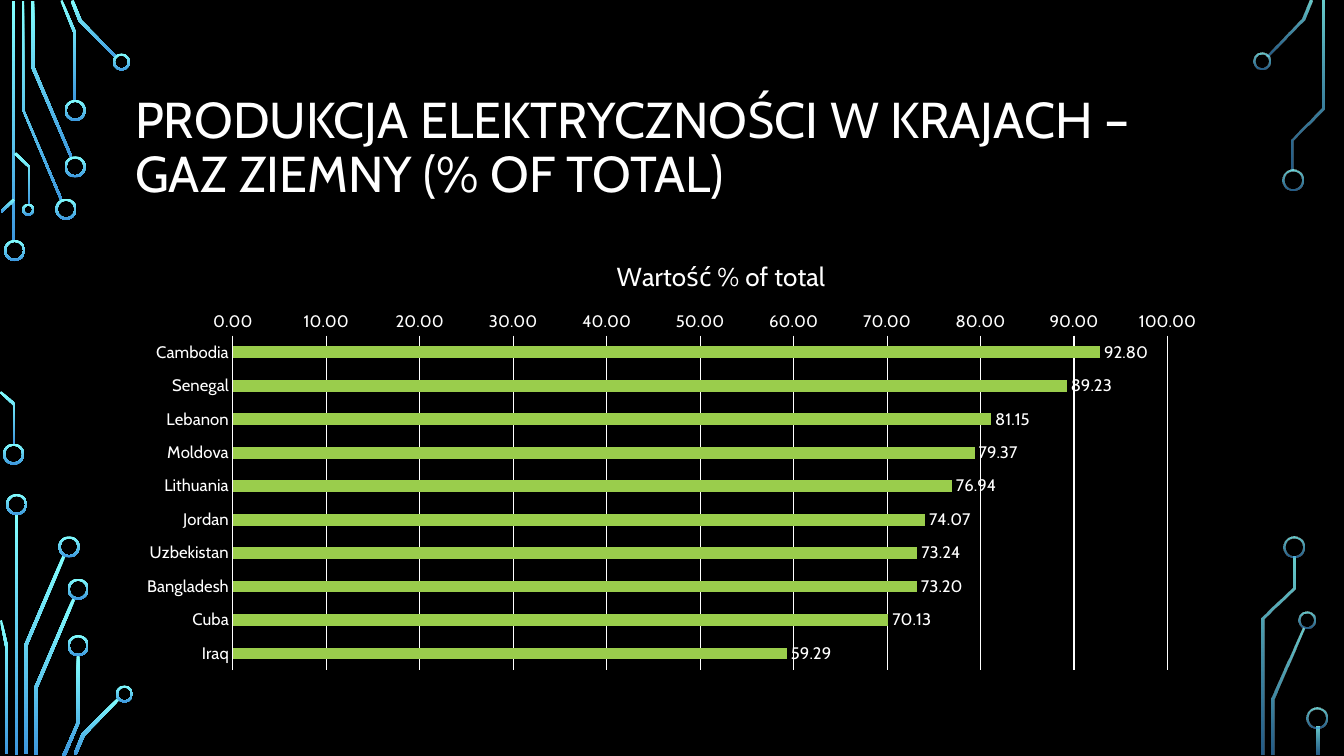
"""Build a slide with a bar chart of electricity made from natural gas, framed by circuit traces."""
from dataclasses import dataclass

from lxml import etree
from pptx import Presentation
from pptx.chart.data import CategoryChartData
from pptx.dml.color import RGBColor
from pptx.enum.chart import XL_CHART_TYPE, XL_LABEL_POSITION, XL_TICK_MARK
from pptx.enum.shapes import MSO_SHAPE
from pptx.enum.text import MSO_ANCHOR, MSO_AUTO_SIZE, PP_ALIGN
from pptx.oxml.ns import qn
from pptx.util import Inches, Pt

BAR_CLUSTERED = XL_CHART_TYPE.BAR_CLUSTERED
OUTSIDE_END = XL_LABEL_POSITION.OUTSIDE_END
NO_TICK = XL_TICK_MARK.NONE
DONUT, RECTANGLE = MSO_SHAPE.DONUT, MSO_SHAPE.RECTANGLE
MIDDLE, LEFT, NO_AUTOFIT = MSO_ANCHOR.MIDDLE, PP_ALIGN.LEFT, MSO_AUTO_SIZE.NONE


@dataclass(frozen=True)
class Theme:
    font: str = "Cabin"
    back: RGBColor = RGBColor(0x00, 0x00, 0x00)
    text: RGBColor = RGBColor(0xFF, 0xFF, 0xFF)
    bar: RGBColor = RGBColor(0x9A, 0xCD, 0x4C)
    trace_top: RGBColor = RGBColor(0x82, 0xFF, 0xFF)
    trace_bottom: RGBColor = RGBColor(0x3D, 0x97, 0xDE)
    title_size: Pt = Pt(36)
    chart_title_size: Pt = Pt(18.6)
    chart_size: Pt = Pt(11.9)
    hairline: Pt = Pt(0.75)


THEME = Theme()
RING_WIDTH = 0.02
LEFT_RINGS = [
    (0.04, 2.38, 0.21), (0.03, 4.4, 0.21), (0.55, 1.97, 0.21), (0.64, 1.55, 0.21),
    (0.64, 0.99, 0.21), (1.12, 0.53, 0.17), (0.22, 2.02, 0.12), (0.06, 4.9, 0.21),
    (0.58, 5.32, 0.21), (0.67, 5.74, 0.21), (0.67, 6.3, 0.21), (1.15, 6.8, 0.17),
]
RIGHT_RINGS = [
    (12.43, 0.52, 0.17), (12.72, 1.68, 0.21), (12.88, 6.07, 0.17),
    (12.73, 5.32, 0.21), (12.96, 7.02, 0.21),
]
LEFT_STRIPS = [(0.12, 0.01, 0.03, 2.39), (0.15, 5.1, 0.03, 2.39)]
RIGHT_STRIPS = [(13.06, 7.21, 0.03, 0.28)]
LEFT_TRACES = [
    [(0.6, 1.99), (0.22, 1.09), (0.22, 0.01), (0.24, 0.01), (0.24, 1.09), (0.62, 1.98)],
    [(0.7, 1.57), (0.31, 0.67), (0.31, 0.01), (0.34, 0.01), (0.34, 0.66), (0.72, 1.56)],
    [(0.76, 1), (0.73, 1), (0.73, 0.33), (0.6, 0.01), (0.62, 0), (0.76, 0.33)],
    [(1.15, 0.58), (0.78, 0.21), (0.7, 0.01), (0.73, 0), (0.81, 0.2), (1.16, 0.56)],
    [(0.02, 2.11), (0.01, 2.09), (0.13, 1.97), (0.15, 1.99)],
    [(0.15, 4.41), (0.13, 4.41), (0.13, 4.02), (0, 3.9), (0.01, 3.88), (0.15, 4)],
    [(0.3, 2.03), (0.28, 2.03), (0.28, 1.66), (0.14, 1.53), (0.16, 1.51), (0.3, 1.65)],
    [(0.27, 7.48), (0.24, 7.48), (0.24, 6.4), (0.62, 5.51), (0.65, 5.52), (0.27, 6.41)],
    [(0.08, 7.48), (0.05, 7.48), (0.05, 6.41), (0, 6.16), (0.02, 6.15), (0.08, 6.41)],
    [(0.37, 7.49), (0.34, 7.49), (0.34, 6.82), (0.72, 5.93), (0.75, 5.94), (0.37, 6.83)],
    [(0.65, 7.5), (0.62, 7.49), (0.76, 7.17), (0.76, 6.5), (0.79, 6.5), (0.79, 7.17)],
    [(0.76, 7.49), (0.73, 7.48), (0.81, 7.28), (1.17, 6.92), (1.19, 6.94), (0.84, 7.3)],
]
RIGHT_TRACES = [
    [(12.58, 0.56), (12.56, 0.55), (12.91, 0.19), (12.99, 0), (13.02, 0.01), (12.94, 0.2)],
    [(12.64, 7.49), (12.61, 7.49), (12.61, 6.93), (12.92, 6.23), (12.94, 6.24), (12.64, 6.94)],
    [(12.83, 1.69), (12.81, 1.69), (12.81, 1.38), (13.11, 1.07),
     (13.11, 0.01), (13.14, 0.01), (13.14, 1.08), (12.83, 1.39)],
    [(12.54, 7.49), (12.51, 7.49), (12.51, 6.13), (12.82, 5.83),
     (12.82, 5.52), (12.85, 5.52), (12.85, 5.84), (12.54, 6.14)],
]
SIDES = [
    (LEFT_STRIPS, LEFT_TRACES, LEFT_RINGS, (100, 100)),
    (RIGHT_STRIPS, RIGHT_TRACES, RIGHT_RINGS, (80, 60)),
]
GAS_SHARE = {
    "Cambodia": 92.8, "Senegal": 89.23, "Lebanon": 81.15, "Moldova": 79.37,
    "Lithuania": 76.94, "Jordan": 74.07, "Uzbekistan": 73.24, "Bangladesh": 73.2,
    "Cuba": 70.13, "Iraq": 59.29,
}
CHART_TITLE = "Wartość % of total"
CHART_WIDTH, CHART_HEIGHT = 10.83, 4.28


def style_font(font, size):
    """Give a font the theme's face and text colour."""
    font.name = THEME.font
    font.size = size
    font.bold = False
    font.color.rgb = THEME.text


def set_layout(parent, index, **settings):
    """Fix the place of a chart part as fractions of the chart."""
    for old in parent.findall(qn("c:layout")):
        parent.remove(old)
    layout = etree.Element(qn("c:layout"))
    manual = etree.SubElement(layout, qn("c:manualLayout"))
    for name, value in settings.items():
        etree.SubElement(manual, qn(f"c:{name}")).set("val", str(value))
    parent.insert(index, layout)


deck = Presentation()
deck.slide_width, deck.slide_height = Inches(13.33), Inches(7.5)
page = deck.slides.add_slide(deck.slide_layouts[5])
page.background.fill.solid()
page.background.fill.fore_color.rgb = THEME.back

for strips, traces, rings, opacities in SIDES:
    parts = []
    for strip in strips:
        parts.append(page.shapes.add_shape(RECTANGLE, *map(Inches, strip)))
    for trace in traces:
        points = [(Inches(x), Inches(y)) for x, y in trace]
        outline = page.shapes.build_freeform(*points[0])
        outline.add_line_segments(points[1:], close=True)
        parts.append(outline.convert_to_shape())
    for left, top, size in rings:
        ring = page.shapes.add_shape(DONUT, *map(Inches, (left, top, size, size)))
        ring.adjustments[0] = RING_WIDTH / size
        parts.append(ring)
    for part in parts:
        part.shadow.inherit = False
        part.line.fill.background()
        part.fill.gradient()
        part.fill.gradient_angle = 270
        for stop, color in zip(part.fill.gradient_stops, (THEME.trace_top, THEME.trace_bottom)):
            stop.color.rgb = color
        for color, opacity in zip(part._element.iter(qn("a:srgbClr")), opacities):
            if opacity < 100:
                etree.SubElement(color, qn("a:alpha")).set("val", str(opacity * 1000))

title = page.shapes.title
title.left, title.top = Inches(1.24), Inches(0.67)
title.width, title.height = Inches(10.83), Inches(1.62)
frame = title.text_frame
frame.word_wrap = True
frame.auto_size = NO_AUTOFIT
frame.vertical_anchor = MIDDLE
para = frame.paragraphs[0]
para.alignment = LEFT
para.line_spacing = 0.9
span = para.add_run()
span.text = "PRODUKCJA ELEKTRYCZNOŚCI W KRAJACH – GAZ ZIEMNY (% OF TOTAL)"
style_font(span.font, THEME.title_size)

data = CategoryChartData(number_format="0.00")
data.categories = list(GAS_SHARE)
data.add_series(CHART_TITLE, list(GAS_SHARE.values()))
chart_box = map(Inches, (1.25, 2.46, CHART_WIDTH, CHART_HEIGHT))
chart = page.shapes.add_chart(BAR_CLUSTERED, *chart_box, data).chart
style_font(chart.font, THEME.chart_size)
chart.has_legend = False

chart.has_title = True
span = chart.chart_title.text_frame.paragraphs[0].add_run()
span.text = CHART_TITLE
style_font(span.font, THEME.chart_title_size)
chart.chart_title.include_in_layout = False
set_layout(chart.chart_title._element, 1, xMode="edge", yMode="edge",
           x=4.82 / CHART_WIDTH, y=0.05 / CHART_HEIGHT)
set_layout(chart.plots[0]._element.getparent(), 0, layoutTarget="inner",
           xMode="edge", yMode="edge", x=1.06 / CHART_WIDTH, y=0.87 / CHART_HEIGHT,
           w=9.27 / CHART_WIDTH, h=3.32 / CHART_HEIGHT)

countries, shares = chart.category_axis, chart.value_axis
for axis in (countries, shares):
    axis.major_tick_mark = axis.minor_tick_mark = NO_TICK
    style_font(axis.tick_labels.font, THEME.chart_size)
countries.reverse_order = True
shares.minimum_scale, shares.maximum_scale, shares.major_unit = 0, 100, 10
shares.tick_labels.number_format = "0.00"
shares.tick_labels.number_format_is_linked = False
shares.has_major_gridlines = True
shares.format.line.fill.background()
for line in (countries.format.line, shares.major_gridlines.format.line):
    line.color.rgb = THEME.text
    line.width = THEME.hairline

plot = chart.plots[0]
plot.gap_width = 182
plot.vary_by_categories = False
bars = plot.series[0]
bars.format.fill.solid()
bars.format.fill.fore_color.rgb = THEME.bar
labels = bars.data_labels
labels.show_value = True
labels.position = OUTSIDE_END
labels.number_format = "0.00"
labels.number_format_is_linked = False
style_font(labels.font, THEME.chart_size)

deck.save("out.pptx")
